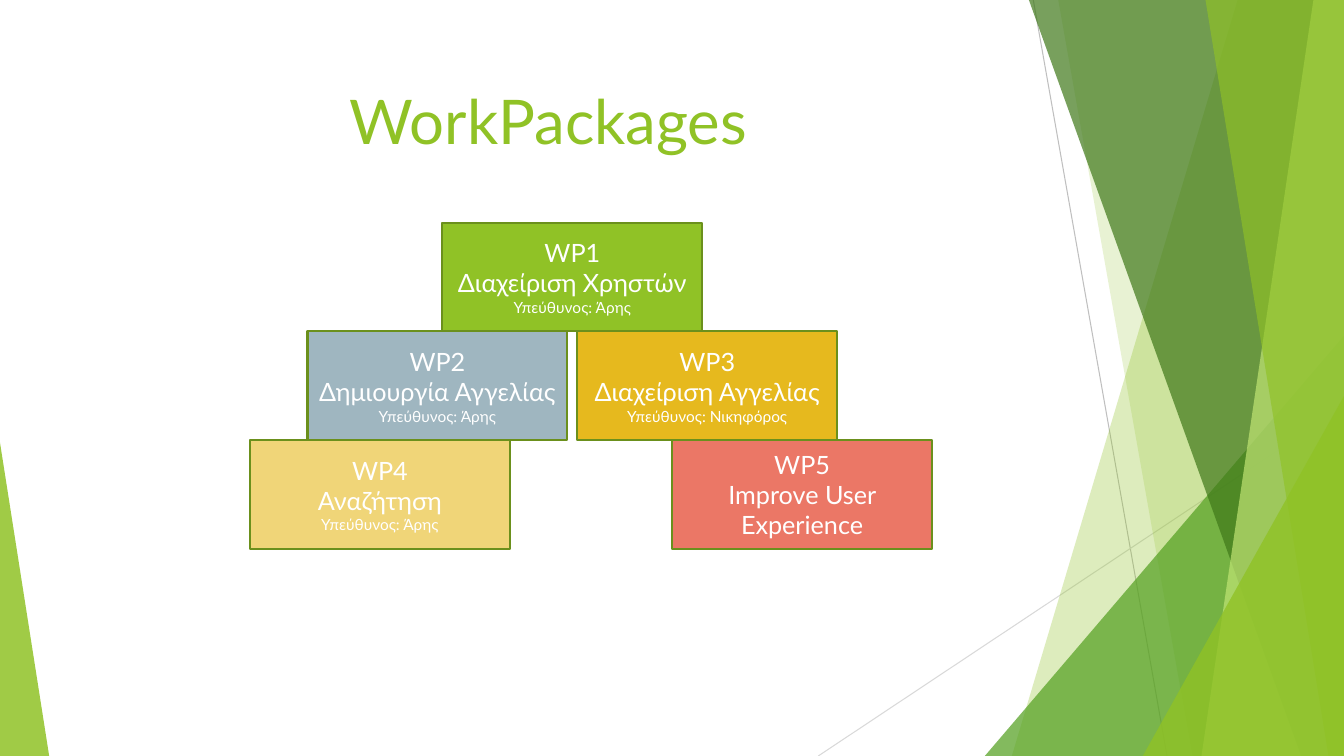
from lxml import etree
from pptx import Presentation
from pptx.dml.color import RGBColor
from pptx.enum.shapes import MSO_CONNECTOR, MSO_SHAPE
from pptx.enum.text import MSO_ANCHOR, PP_ALIGN
from pptx.oxml.ns import qn
from pptx.util import Cm, Pt

GREEN = RGBColor(0x90, 0xC2, 0x26)
MID_GREEN = RGBColor(0x54, 0xA0, 0x21)
DARK_GREEN = RGBColor(0x3F, 0x78, 0x19)
PALE_GREEN = RGBColor(0xC0, 0xE4, 0x74)
OUTLINE_GREEN = RGBColor(0x6B, 0x90, 0x1C)
GREY_BLUE = RGBColor(0x9F, 0xB6, 0xC0)
GOLD = RGBColor(0xE6, 0xB9, 0x1E)
SAND = RGBColor(0xF0, 0xD5, 0x78)
CORAL = RGBColor(0xEB, 0x77, 0x66)
GREY = RGBColor(0xBF, 0xBF, 0xBF)
LIGHT_GREY = RGBColor(0xD9, 0xD9, 0xD9)
WHITE = RGBColor(0xFF, 0xFF, 0xFF)

SLIDE_WIDTH, SLIDE_HEIGHT = 33.87, 19.05
BOX_WIDTH, BOX_HEIGHT = 6.55, 2.74
FIRST_ROW_TOP = 5.61


def write_lines(shape, lines, color, anchor):
    """Fill the shape with centred paragraphs, given as (text, size) pairs."""
    frame = shape.text_frame
    frame.word_wrap = True
    frame.vertical_anchor = anchor
    for index, (text, size) in enumerate(lines):
        paragraph = frame.paragraphs[0] if index == 0 else frame.add_paragraph()
        paragraph.alignment = PP_ALIGN.CENTER
        run = paragraph.add_run()
        run.text = text
        run.font.name = "Lato"
        run.font.size = Pt(size)
        run.font.color.rgb = color


def fill_translucent(shape, color, opacity):
    shape.shadow.inherit = False
    shape.line.fill.background()
    shape.fill.solid()
    shape.fill.fore_color.rgb = color
    color_element = shape._element.spPr.find(qn("a:solidFill"))[0]
    etree.SubElement(color_element, qn("a:alpha"), val=str(opacity * 1000))


presentation = Presentation()
presentation.slide_width = Cm(SLIDE_WIDTH)
presentation.slide_height = Cm(SLIDE_HEIGHT)
slide = presentation.slides.add_slide(presentation.slide_layouts[6])
shapes = slide.shapes

# Thin lines behind the facets
for start_x, start_y, end_x, color in [
    (26.04, 0, 29.41, GREY),
    (SLIDE_WIDTH, 10.24, 20.62, LIGHT_GREY),
]:
    line = shapes.add_connector(
        MSO_CONNECTOR.STRAIGHT, Cm(start_x), Cm(start_y), Cm(end_x), Cm(SLIDE_HEIGHT)
    )
    line.line.color.rgb = color
    line.line.width = Pt(0.75)
    etree.SubElement(line._element.spPr, qn("a:effectLst"))

# Facets: a band runs from its slanted edge to the right side of the slide,
# a triangle stands on the bottom of the slide
facets = [
    ("band", (31.19, 25.5), GREEN, 30),
    ("band", (26.67, 30.05), GREEN, 20),
    ("triangle", (24.82, 9.05, 10.59, 1), MID_GREEN, 72),
    ("band", (25.93, 32.79), DARK_GREEN, 70),
    ("band", (33.1, 30.28), PALE_GREEN, 70),
    ("band", (30.38, 33.48), GREEN, 65),
    ("triangle", (28.8, 5.07, 9.07, 1), GREEN, 80),
    ("triangle", (0, 1.24, 7.9, 0), GREEN, 85),
]
for kind, geometry, color, opacity in facets:
    if kind == "band":
        top_x, bottom_x = geometry
        builder = shapes.build_freeform(Cm(top_x), 0)
        builder.add_line_segments([
            (Cm(SLIDE_WIDTH), 0),
            (Cm(SLIDE_WIDTH), Cm(SLIDE_HEIGHT)),
            (Cm(bottom_x), Cm(SLIDE_HEIGHT)),
        ])
        facet = builder.convert_to_shape()
    else:
        left, width, height, apex = geometry
        facet = shapes.add_shape(
            MSO_SHAPE.ISOSCELES_TRIANGLE,
            Cm(left), Cm(SLIDE_HEIGHT - height), Cm(width), Cm(height),
        )
        facet.adjustments[0] = apex
    fill_translucent(facet, color, opacity)

title = shapes.add_textbox(Cm(1.88), Cm(1.96), Cm(23.88), Cm(3.65))
write_lines(title, [("WorkPackages", 44)], color=GREEN, anchor=MSO_ANCHOR.TOP)

# Pyramid of work packages: row, left, fill, name, person in charge
work_packages = [
    (0, 11.15, GREEN, "Διαχείριση Χρηστών", "Άρης"),
    (1, 7.75, GREY_BLUE, "Δημιουργία Αγγελίας", "Άρης"),
    (1, 14.55, GOLD, "Διαχείριση Αγγελίας", "Νικηφόρος"),
    (2, 6.3, SAND, "Αναζήτηση", "Άρης"),
    (2, 16.94, CORAL, "Improve User Experience", None),
]
for number, (row, left, color, name, person) in enumerate(work_packages, start=1):
    box = shapes.add_shape(
        MSO_SHAPE.RECTANGLE,
        Cm(left), Cm(FIRST_ROW_TOP + row * BOX_HEIGHT), Cm(BOX_WIDTH), Cm(BOX_HEIGHT),
    )
    box.shadow.inherit = False
    box.fill.solid()
    box.fill.fore_color.rgb = color
    box.line.color.rgb = OUTLINE_GREEN
    box.line.width = Pt(1.5)
    lines = [(f"WP{number}", 18), (name, 18)]
    if person:
        lines.append((f"Υπεύθυνος: {person}", 11))
    write_lines(box, lines, color=WHITE, anchor=MSO_ANCHOR.MIDDLE)

presentation.save("out.pptx")
